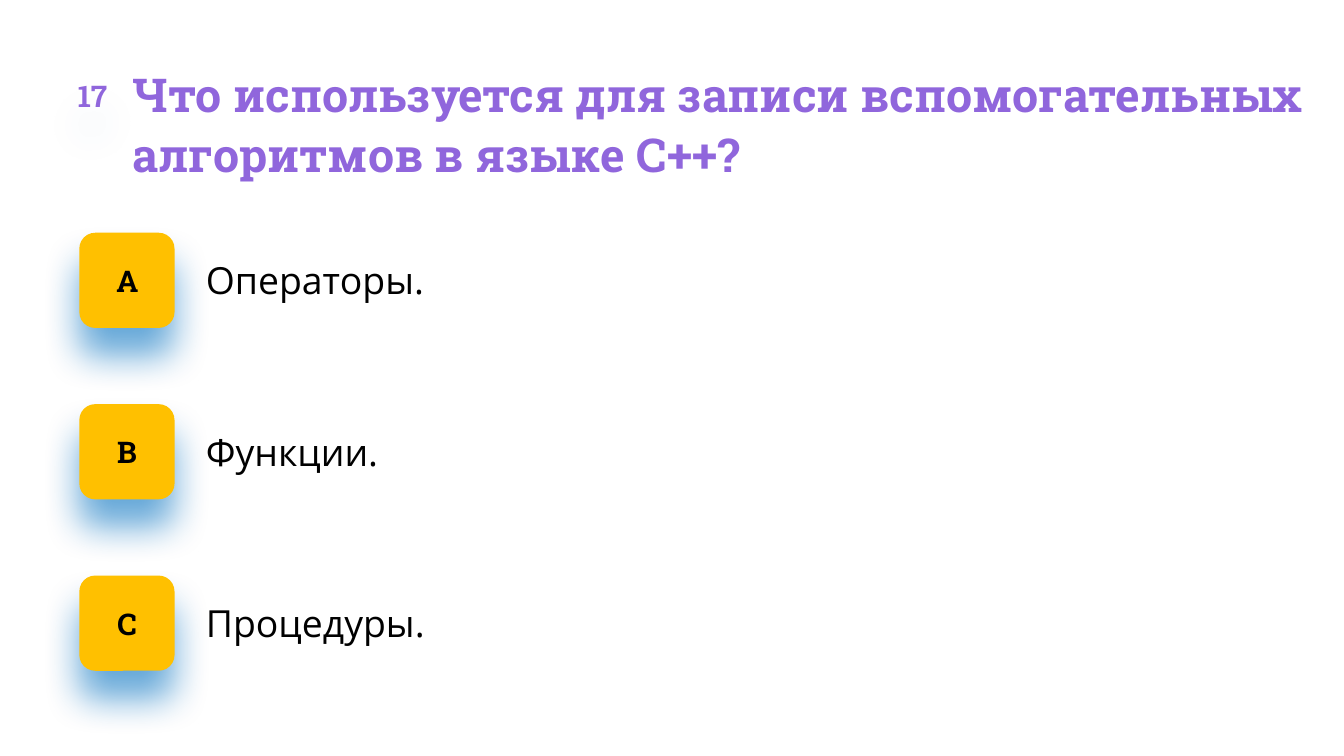
from lxml.etree import SubElement
from pptx import Presentation
from pptx.dml.color import RGBColor
from pptx.enum.shapes import MSO_SHAPE
from pptx.enum.text import MSO_ANCHOR, MSO_AUTO_SIZE, PP_ALIGN
from pptx.oxml.ns import qn
from pptx.util import Cm, Pt

# Content
NUMBER = "17"
QUESTION = "Что используется для записи вспомогательных алгоритмов в языке C++?"
ANSWERS = [("А", "Операторы."), ("B", "Функции."), ("C", "Процедуры.")]

# Style
PURPLE = RGBColor(0x90, 0x66, 0xDC)
AMBER = RGBColor(0xFF, 0xC0, 0x00)
BLACK = RGBColor(0x00, 0x00, 0x00)
SHADOW_BLUE = RGBColor(0x00, 0x70, 0xC0)
HEADING_FONT = "Roboto Slab"
BODY_FONT = "Open Sans"

# Layout, in centimetres
BADGE_LEFT, BADGE_TOP, BADGE_SIZE, ROW_PITCH = 1.5, 4.4, 1.8, 3.24
ANSWER_LEFT, ANSWER_WIDTH, ANSWER_HEIGHT = 3.53, 17.86, 0.86


def write_text(shape, text, size, color, font=HEADING_FONT, bold=True,
               align=PP_ALIGN.LEFT, anchor=MSO_ANCHOR.TOP, inset=0,
               spacing=1.0, auto_size=MSO_AUTO_SIZE.NONE):
    frame = shape.text_frame
    frame.word_wrap = True
    frame.auto_size = auto_size
    frame.vertical_anchor = anchor
    frame.margin_left = Cm(inset)
    frame.margin_top = frame.margin_right = frame.margin_bottom = 0
    paragraph = frame.paragraphs[0]
    paragraph.alignment = align
    paragraph.line_spacing = spacing
    run = paragraph.add_run()
    run.text = text
    run.font.name = font
    run.font.size = Pt(size)
    run.font.bold = bold
    run.font.color.rgb = color


def add_shadow(shape, opacity):
    shape.shadow.inherit = False
    effects = shape.element.spPr.find(qn("a:effectLst"))
    shadow = SubElement(effects, qn("a:outerShdw"), blurRad=str(Pt(20)),
                        dist=str(Pt(15)), dir="5400000", algn="t", rotWithShape="0")
    color = SubElement(shadow, qn("a:srgbClr"), val=str(SHADOW_BLUE))
    SubElement(color, qn("a:alpha"), val=str(opacity * 1000))


def add_badge(slide, text, left, top, size, text_color, fill=None, opacity=60):
    badge = slide.shapes.add_shape(MSO_SHAPE.ROUNDED_RECTANGLE,
                                   Cm(left), Cm(top), Cm(size), Cm(size))
    if fill is None:
        badge.fill.background()
    else:
        badge.fill.solid()
        badge.fill.fore_color.rgb = fill
    badge.line.fill.background()
    add_shadow(badge, opacity)
    write_text(badge, text, 16, text_color,
               align=PP_ALIGN.CENTER, anchor=MSO_ANCHOR.MIDDLE)


def main():
    presentation = Presentation()
    presentation.slide_width, presentation.slide_height = Cm(25.4), Cm(14.29)
    slide = presentation.slides.add_slide(presentation.slide_layouts[5])

    # Question and its number
    title = slide.shapes.title
    title.left, title.top, title.width, title.height = Cm(2.51), Cm(1.19), Cm(22.38), Cm(2.21)
    write_text(title, QUESTION, 25, PURPLE, spacing=1.06)
    add_badge(slide, NUMBER, 1, 1.05, 1.5, PURPLE, opacity=15)

    # Answers, one row each
    for row, (letter, answer) in enumerate(ANSWERS):
        top = BADGE_TOP + row * ROW_PITCH
        add_badge(slide, letter, BADGE_LEFT, top, BADGE_SIZE, BLACK, fill=AMBER)
        answer_top = top + (BADGE_SIZE - ANSWER_HEIGHT) / 2
        box = slide.shapes.add_textbox(Cm(ANSWER_LEFT), Cm(answer_top),
                                       Cm(ANSWER_WIDTH), Cm(ANSWER_HEIGHT))
        write_text(box, answer, 20, BLACK, font=BODY_FONT, bold=False, inset=0.36,
                   auto_size=MSO_AUTO_SIZE.SHAPE_TO_FIT_TEXT)

    presentation.save("out.pptx")


if __name__ == "__main__":
    main()
